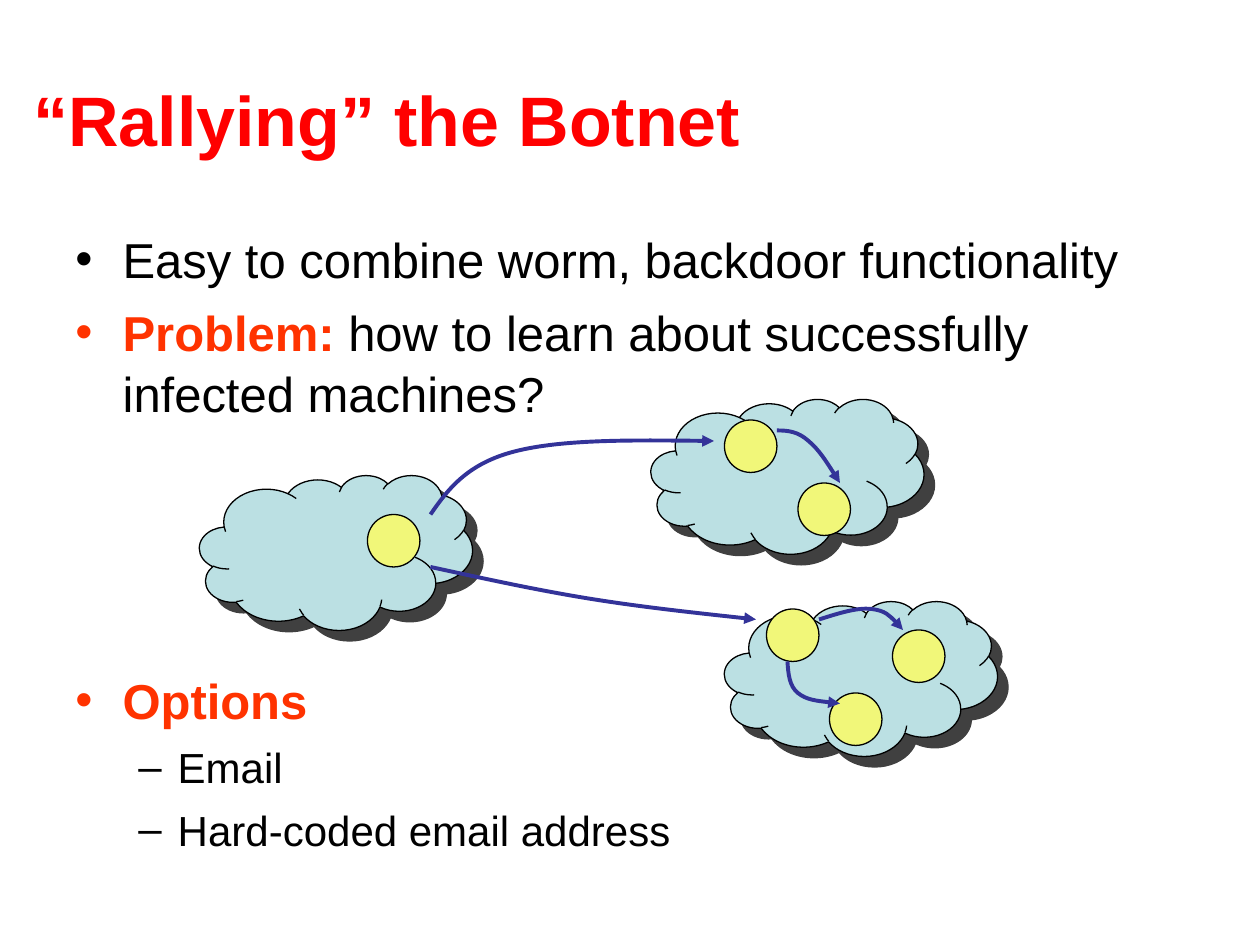
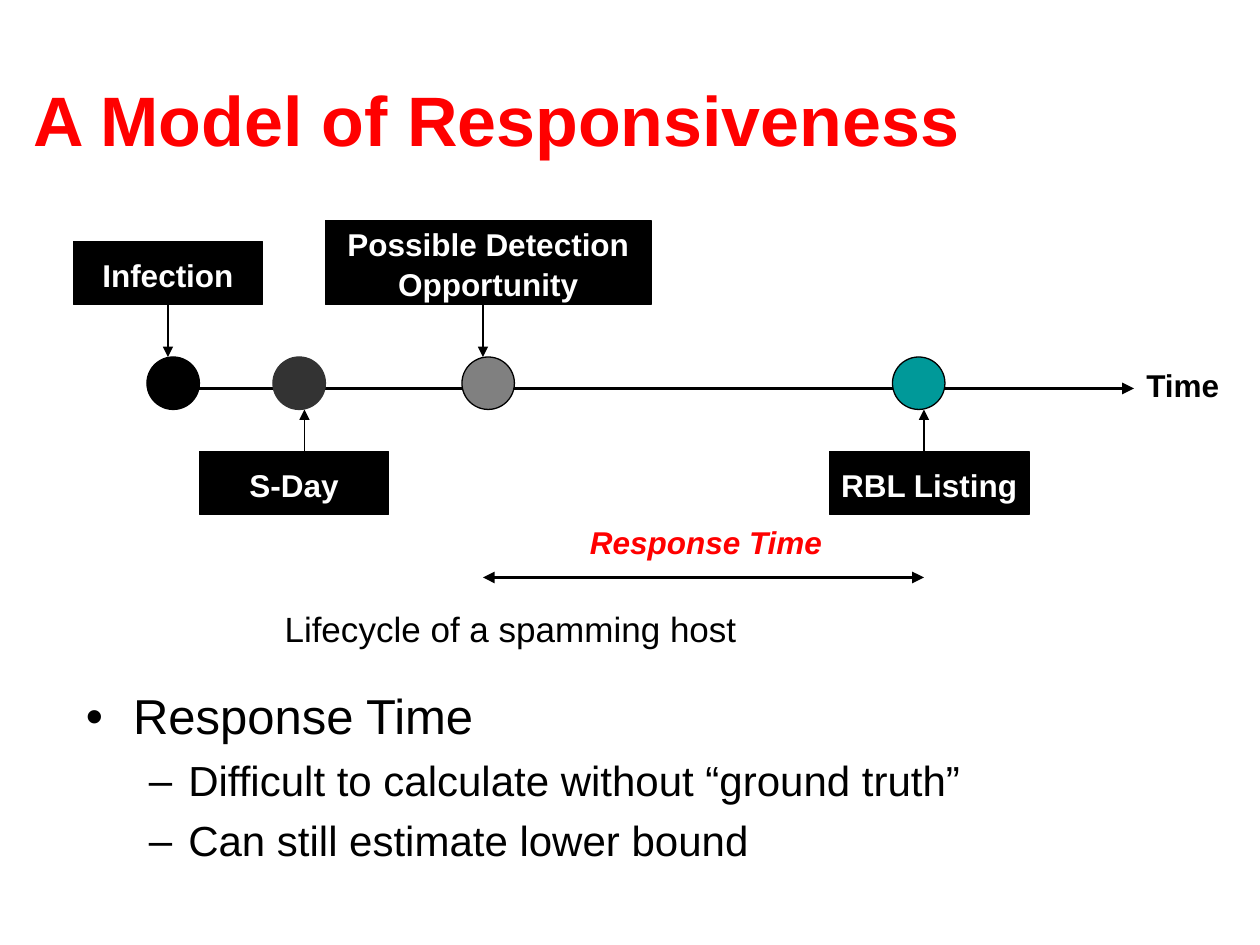
from lxml import etree
from pptx import Presentation, util as u
from pptx.dml.color import RGBColor
from pptx.enum import shapes, text
from pptx.oxml.ns import qn

HUE = {"title": "FF0000", "hot": "FF3300", "ink": "000000", "paper": "FFFFFF",
       "cloud": "BBE0E3", "host": "F1F779", "path": "333399",
       "dark": "333333", "grey": "808080", "teal": "009999"}
HUE = {name: RGBColor.from_string(code) for name, code in HUE.items()}
FONT = "Arial"
KIND = shapes.MSO_SHAPE


def put(shape, words, size, hue, bold=True, italic=False, gap=1.08, align="LEFT"):
    frame = shape.text_frame
    frame.text = words
    frame.vertical_anchor = text.MSO_ANCHOR.MIDDLE
    frame.word_wrap = False
    for para in frame.paragraphs:
        para.alignment = text.PP_ALIGN[align]
        para.line_spacing = gap
        font = para.runs[0].font
        font.name, font.size = FONT, u.Pt(size)
        font.bold, font.italic = bold, italic
        font.color.rgb = HUE[hue]


def arrow(shape, hue, width, ends=("tailEnd",)):
    shape.line.color.rgb = HUE[hue]
    shape.line.width = u.Pt(width)
    props = shape._element.spPr
    for end in ends:
        etree.SubElement(props.find(qn("a:ln")), qn("a:" + end), type="triangle")
    etree.SubElement(props, qn("a:effectLst"))


deck = Presentation()
deck.slide_width, deck.slide_height = u.Pt(720), u.Pt(540)

pages = [
    ("“Rallying” the Botnet", 1.04, [
        ((36, 126, 648, 120), [
            (0, [("Easy to combine worm, backdoor functionality", "ink")]),
            (0, [("Problem:", "hot"),
                 (" how to learn about successfully infected machines?", "ink")])]),
        ((36, 378, 648, 120), [
            (0, [("Options", "hot")]),
            (1, [("Email", "ink")]),
            (1, [("Hard-coded email address", "ink")])])]),
    ("A Model of Responsiveness", 0.98, [
        ((42, 390, 648, 128), [
            (0, [("Response Time", "ink")]),
            (1, [("Difficult to calculate without “ground truth”", "ink")]),
            (1, [("Can still estimate lower bound", "ink")])])]),
]
levels = [("•", 28, 27, 27, 7), ("–", 24, 58.5, 22.5, 6)]

for title, gap, bodies in pages:
    slide = deck.slides.add_slide(deck.slide_layouts[6])
    head = slide.shapes.add_textbox(u.Pt(12), u.Pt(23), u.Pt(690), u.Pt(90))
    put(head, title, 40, "title", gap=1)
    head.text_frame.word_wrap = True
    for box, points in bodies:
        frame = slide.shapes.add_textbox(*map(u.Pt, box)).text_frame
        frame.word_wrap = True
        for row, (level, runs) in enumerate(points):
            para = frame.paragraphs[0] if row == 0 else frame.add_paragraph()
            mark, size, left, hang, space = levels[level]
            para.level = level
            para.line_spacing = gap
            para.space_before = u.Pt(space if row else 0)
            props = para._p.get_or_add_pPr()
            props.set("marL", str(u.Pt(left)))
            props.set("indent", str(-u.Pt(hang)))
            tint = etree.SubElement(props, qn("a:buClr"))
            etree.SubElement(tint, qn("a:srgbClr"), val=str(HUE[runs[0][1]]))
            etree.SubElement(props, qn("a:buFont"), typeface=FONT)
            etree.SubElement(props, qn("a:buChar"), char=mark)
            for words, hue in runs:
                run = para.add_run()
                run.text = words
                run.font.name, run.font.size = FONT, u.Pt(size)
                run.font.bold = hue == "hot"
                run.font.color.rgb = HUE[hue]

rally, model = [slide.shapes for slide in deck.slides]

clouds = [(114, 271.5), (372, 228), (414, 343.5)]
for x, y in clouds:
    cloud = rally.add_shape(KIND.CLOUD, u.Pt(x), u.Pt(y), u.Pt(156), u.Pt(88.5))
    cloud.fill.solid()
    cloud.fill.fore_color.rgb = HUE["cloud"]
    cloud.line.color.rgb = HUE["ink"]
    cloud.line.width = u.Pt(0.75)
    cloud.shadow.inherit = False
    cast = etree.SubElement(cloud._element.spPr.find(qn("a:effectLst")), qn("a:outerShdw"),
                            dist=str(u.Pt(8.5)), dir="2700000", algn="ctr", rotWithShape="0")
    shade = etree.SubElement(cast, qn("a:srgbClr"), val=str(HUE["ink"]))
    etree.SubElement(shade, qn("a:alpha"), val="75000")

hosts = [(210, 294), (414, 240), (456, 276), (438, 348), (474, 396), (510, 360)]
stages = [(84, "ink", "ink"), (156, "dark", "dark"), (264, "grey", "ink"), (510, "teal", "ink")]

axis = model.add_connector(shapes.MSO_CONNECTOR.STRAIGHT,
                           u.Pt(114), u.Pt(222), u.Pt(648), u.Pt(222))
arrow(axis, "ink", 2.25)

dots = [(rally, x, y, "host", "ink") for x, y in hosts]
dots += [(model, x, 204, hue, edge) for x, hue, edge in stages]
for place, x, y, hue, edge in dots:
    dot = place.add_shape(KIND.OVAL, u.Pt(x), u.Pt(y), u.Pt(30), u.Pt(30))
    dot.fill.solid()
    dot.fill.fore_color.rgb = HUE[hue]
    dot.line.color.rgb = HUE[edge]
    dot.line.width = u.Pt(0.75)
    dot.shadow.inherit = False

curves = [
    [(246, 294), (256, 279.5), (267, 265), (294, 258), (321, 251), (364.5, 251.5), (408, 252)],
    [(444, 246), (450, 246), (456, 246.5), (462, 252), (468, 257), (474, 266.5), (480, 276)],
    [(246, 324), (276, 330.5), (305.5, 337), (336, 342), (367, 347), (400, 350.5), (432, 354)],
    [(468, 354), (479, 350.5), (490, 347), (498, 348), (506, 349), (511, 354), (516, 360)],
    [(450, 378), (450.5, 385), (451, 392), (456, 396), (461, 400), (470.5, 401), (480, 402)],
]
for curve in curves:
    start, *rest = [(u.Pt(x), u.Pt(y)) for x, y in curve]
    pen = rally.build_freeform(*start)
    pen.add_line_segments(rest, close=False)
    trail = pen.convert_to_shape()
    trail.fill.background()
    arrow(trail, "path", 2.25)
    steps = list(trail._element.iter(qn("a:lnTo")))
    track = steps[0].getparent()
    for i in range(0, len(steps), 3):
        bend = etree.SubElement(track, qn("a:cubicBezTo"))
        for step in steps[i:i + 3]:
            bend.append(step[0])
            track.remove(step)

events = [("Infection", 42, 138, 108, 36, 96),
          ("S-Day", 114, 258, 108, 36, 174),
          ("Possible Detection\nOpportunity", 186, 126, 186, 48, 276),
          ("RBL Listing", 474, 258, 114, 36, 528)]
for words, x, y, wide, high, stem in events:
    card = model.add_shape(KIND.RECTANGLE, u.Pt(x), u.Pt(y), u.Pt(wide), u.Pt(high))
    card.fill.solid()
    card.fill.fore_color.rgb = HUE["ink"]
    card.line.color.rgb = HUE["ink"]
    card.line.width = u.Pt(0.75)
    card.shadow.inherit = False
    put(card, words, 18, "paper", align="CENTER")
    above = y < 204
    top, tip = (y + high, 204) if above else (y, 234)
    link = model.add_connector(shapes.MSO_CONNECTOR.STRAIGHT,
                               u.Pt(stem), u.Pt(top), u.Pt(stem), u.Pt(tip))
    if stem == x + wide / 2:
        link.begin_connect(card, 2 if above else 0)
    arrow(link, "ink", 0.75)

span = model.add_connector(shapes.MSO_CONNECTOR.STRAIGHT,
                           u.Pt(276), u.Pt(330), u.Pt(528), u.Pt(330))
arrow(span, "ink", 2.25, ("headEnd", "tailEnd"))

notes = [("Time", 648, 204, 56, 30, 18, "ink", True, False),
         ("Response Time", 330, 294, 147.5, 30, 18, "title", True, True),
         ("Lifecycle of a spamming host", 155.5, 342, 273, 33, 20, "ink", False, False)]
for words, x, y, wide, high, size, hue, bold, italic in notes:
    note = model.add_textbox(u.Pt(x), u.Pt(y), u.Pt(wide), u.Pt(high))
    put(note, words, size, hue, bold, italic)

deck.save("out.pptx")
